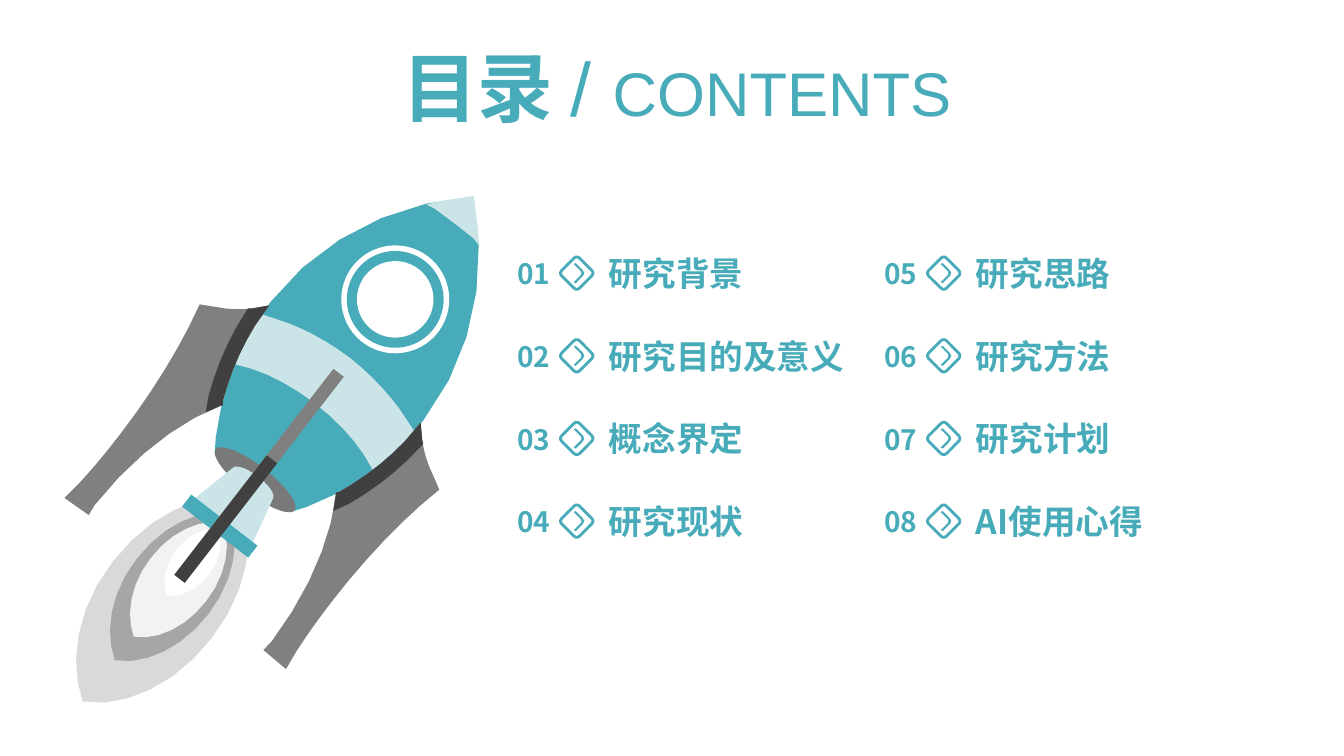
from math import cos, radians, sin

from lxml.etree import SubElement
from pptx import Presentation
from pptx.dml.color import RGBColor
from pptx.enum.shapes import MSO_SHAPE
from pptx.enum.text import MSO_ANCHOR, MSO_AUTO_SIZE, PP_ALIGN
from pptx.oxml.ns import qn
from pptx.util import Inches, Pt

TEAL = RGBColor(0x47, 0xAB, 0xB9)
PALE = RGBColor(0xCB, 0xE4, 0xE8)
WHITE = RGBColor(0xFF, 0xFF, 0xFF)
SNOW = RGBColor(0xF2, 0xF2, 0xF2)
SILVER = RGBColor(0xD9, 0xD9, 0xD9)
ASH = RGBColor(0xA6, 0xA6, 0xA6)
GRAY = RGBColor(0x80, 0x80, 0x80)
STEEL = RGBColor(0x79, 0x79, 0x79)
DARK = RGBColor(0x40, 0x40, 0x40)

CJK = "Noto Sans CJK SC"
TILT = 37.7  # lean of the rocket in degrees

TOPICS = [
    ["研究背景", "研究目的及意义", "概念界定", "研究现状"],
    ["研究思路", "研究方法", "研究计划", "AI使用心得"],
]

# Outlines: M, L, C and Z commands, in inches
ARROW = """M -.01 -.1 L .06 -.03 C .08 -.01 .08 .01 .06 .03 L -.01 .1 L -.03 .09
    L .04 .02 C .05 .01 .05 -.01 .04 -.02 L -.03 -.09 Z"""
BODY = """M 4.7 1.95 L 4.7 1.97 C 4.84 2.74 4.69 3.53 4.2 4.17 C 3.89 4.57 3.49 4.86 3.04 5.03
    L 2.91 5.07 L 2.86 5.08 C 2.78 5.08 2.61 5 2.45 4.87 C 2.28 4.74 2.16 4.61 2.14 4.52
    L 2.13 4.5 L 2.14 4.34 C 2.2 3.86 2.38 3.4 2.68 3 C 3.17 2.37 3.9 2.01 4.69 1.95 Z"""
FLAME = """M .79 -1.01 L .84 -.81 C .9 -.45 .79 0 .49 .38 C .2 .76 -.2 .99 -.57 1.02
    L -.79 1.01 L -.84 .81 C -.9 .45 -.79 0 -.49 -.38 C -.2 -.76 .2 -.99 .57 -1.02 Z"""
BAND = """M 3.47 3.55 C 3.66 3.7 3.82 3.87 3.95 4.04 L 4.11 4.28 L 4.08 4.31
    L 3.95 4.45 L 3.7 4.66 L 3.69 4.65 C 3.58 4.43 3.38 4.2 3.12 4
    C 2.86 3.8 2.59 3.67 2.35 3.62 L 2.33 3.61 L 2.48 3.31 L 2.57 3.16
    L 2.6 3.12 L 2.87 3.21 C 3.07 3.29 3.27 3.4 3.47 3.55 Z"""
NOSE = """M 4.7 1.95 L 4.7 1.97 L 4.74 2.26 L 4.75 2.43 L 4.69 2.36
    L 4.5 2.21 L 4.31 2.07 L 4.23 2.03 L 4.4 1.99 L 4.69 1.95 Z"""
NOZZLE = """M 2.56 4.73 C 2.67 4.81 2.73 4.91 2.71 4.94 L 2.49 5.42 L 1.9 4.97 L 2.31 4.64
    C 2.34 4.61 2.45 4.64 2.56 4.73 Z"""
FIN = """M 2.67 3.03 L 2.53 3.23 C 2.38 3.47 2.28 3.72 2.21 3.98 L 2.21 4.02 L 2.18 4.03
    C 1.78 4.18 1.32 4.53 .94 5.01 L .88 5.11 L .64 4.94 L .78 4.8 C .92 4.65 1.06 4.48 1.19 4.31
    C 1.46 3.96 1.69 3.6 1.87 3.25 L 1.98 3.02 L 2.23 3.06 C 2.32 3.07 2.41 3.07 2.5 3.06 Z"""
EDGE = """M 2.67 3.03 L 2.53 3.23 C 2.38 3.47 2.28 3.72 2.21 3.98 L 2.21 4.02 L 2.18 4.03
    L 2.04 4.09 L 2.07 3.92 C 2.15 3.63 2.27 3.35 2.44 3.09 L 2.46 3.06 L 2.5 3.06 Z"""


def trace(text, steps=5):
    """Turn outline commands into a ring of points."""
    ring, words = [], iter(text.split())
    for cmd in words:
        if cmd == "Z":
            break
        pts = [(float(next(words)), float(next(words))) for _ in range(3 if cmd == "C" else 1)]
        if cmd != "C":
            ring += pts
            continue
        quad = [ring[-1]] + pts
        for step in range(1, steps + 1):
            t = step / steps
            mix = ((1 - t) ** 3, 3 * t * (1 - t) ** 2, 3 * t * t * (1 - t), t ** 3)
            ring.append(tuple(sum(m * p[i] for m, p in zip(mix, quad)) for i in (0, 1)))
    return ring


def spin(point, angle):
    x, y = point
    c, s = cos(radians(angle)), sin(radians(angle))
    return x * c - y * s, x * s + y * c


def flip(point):
    """Mirror a point across the rocket's long axis."""
    nx, ny = cos(radians(TILT)), sin(radians(TILT))
    gap = 2 * ((2.58 - point[0]) * nx + (4.7 - point[1]) * ny)
    return point[0] + gap * nx, point[1] + gap * ny


def paint(shape, color, angle=0):
    shape.fill.solid()
    shape.fill.fore_color.rgb = color
    shape.line.fill.background()
    shape.shadow.inherit = False
    shape.rotation = angle


def draw(group, ring, color, angle, x=0, y=0, scale=1):
    """Draw a ring as a freeform whose frame is turned by angle."""
    flat = [spin((x + px * scale, y + py * scale), -angle) for px, py in ring]
    mid = [(min(v) + max(v)) / 2 for v in zip(*flat)]
    hub = spin(mid, angle)
    flat = [tuple(Inches(p[i] + hub[i] - mid[i]) for i in (0, 1)) for p in flat]
    pen = group.shapes.build_freeform(*flat[0], scale=1.0)
    pen.add_line_segments(flat[1:], close=True)
    paint(pen.convert_to_shape(), color, angle)


def write(para, text, **fmt):
    run = para.add_run()
    run.text = text
    run.font.color.rgb = TEAL
    for key, value in fmt.items():
        setattr(run.font, key, value)
    SubElement(run.font._element, qn("a:ea")).set("typeface", CJK)


def place(shape, x, y, w, h):
    for key, value in dict(left=x, top=y, width=w, height=h).items():
        setattr(shape, key, Inches(value))


def head(slide, x, y, w, h):
    title = slide.shapes.title
    place(title, x, y, w, h)
    frame = title.text_frame
    frame.vertical_anchor = MSO_ANCHOR.TOP
    frame.auto_size = MSO_AUTO_SIZE.SHAPE_TO_FIT_TEXT
    para = frame.paragraphs[0]
    para.alignment = PP_ALIGN.CENTER
    for text, size, bold in (("目录 ", 54, True), ("/ ", 54, False), ("CONTENTS", 44, False)):
        write(para, text, size=Pt(size), bold=bold, name="Arial")


def label(slide, text, size, x, y, w, h, wrap):
    box = slide.shapes.add_textbox(*map(Inches, (x, y, w, h)))
    box.text_frame.word_wrap = wrap
    box.text_frame.auto_size = MSO_AUTO_SIZE.SHAPE_TO_FIT_TEXT
    write(box.text_frame.paragraphs[0], text, size=Pt(size), bold=True, name=CJK)


def badge(slide, x, y):
    """Diamond with an arrow, centred on x, y."""
    icon = slide.shapes.add_group_shape()
    draw(icon, trace(ARROW, 2), TEAL, 45, x, y)
    size = 0.25
    box = (x - size / 2, y - size / 2, size, size)
    frame = icon.shapes.add_shape(MSO_SHAPE.ROUNDED_RECTANGLE, *map(Inches, box))
    frame.adjustments[0] = 0.15
    paint(frame, TEAL, 45)
    frame.fill.background()
    frame.line.color.rgb = TEAL
    frame.line.width = Pt(2)


def entry(slide, number, topic, x, y):
    """One line of the contents: number, icon, topic."""
    label(slide, f"{number:02}", 20, x, y + 0.04, 0.55, 0.44, False)
    label(slide, topic, 24, x + 0.91, y, 2.56 if len(topic) > 4 else 1.85, 0.5, True)
    badge(slide, x + 0.69, y + 0.25)


def menu(slide, x, y):
    for col, topics in enumerate(TOPICS):
        for row, topic in enumerate(topics):
            entry(slide, col * 4 + row + 1, topic, x + col * 3.64, y + row * 0.82)


def rocket(slide, x, y):
    group = slide.shapes.add_group_shape()

    def free(outline, color):
        draw(group, trace(outline), color, TILT, x, y)

    def solid(kind, color, cx, cy, w, h):
        box = (x + cx - w / 2, y + cy - h / 2, w, h)
        paint(group.shapes.add_shape(kind, *map(Inches, box)), color, TILT)

    # Hull and nested flames
    free(BODY, TEAL)
    for color, cx, cy, w in ((SILVER, 1.61, 5.95, 1.23), (ASH, 1.71, 5.82, 0.89),
                             (SNOW, 1.77, 5.75, 0.69), (WHITE, 1.91, 5.58, 0.4)):
        draw(group, trace(FLAME), color, TILT, x + cx, y + cy, w / 1.23)
    solid(MSO_SHAPE.OVAL, STEEL, 2.53, 4.76, 0.99, 0.28)
    free(BAND, PALE)
    free(NOSE, PALE)
    # Porthole
    for color, size in ((WHITE, 1.07), (TEAL, 0.96), (WHITE, 0.76)):
        solid(MSO_SHAPE.OVAL, color, 3.92, 2.97, size, size)
    # Nozzle, collar and centre fin
    free(NOZZLE, PALE)
    for color, cx, cy, w, h in ((TEAL, 2.18, 5.22, 0.83, 0.15), (GRAY, 2.57, 4.72, 0.13, 2.58),
                                (DARK, 2.24, 5.15, 0.13, 1.5)):
        solid(MSO_SHAPE.RECTANGLE, color, cx, cy, w, h)
    # Side fins, the second pair mirrored
    for side in (tuple, flip):
        for outline, color in ((FIN, GRAY), (EDGE, DARK)):
            draw(group, [side(p) for p in trace(outline)], color, TILT, x, y)


def main():
    deck = Presentation()
    deck.slide_width, deck.slide_height = Inches(13.33), Inches(7.5)
    slide = deck.slides.add_slide(deck.slide_layouts[5])
    rocket(slide, 0, 0)
    head(slide, 3.3, 0.36, 6.83, 1.01)
    menu(slide, 5.03, 2.46)
    deck.save("out.pptx")


if __name__ == "__main__":
    main()
